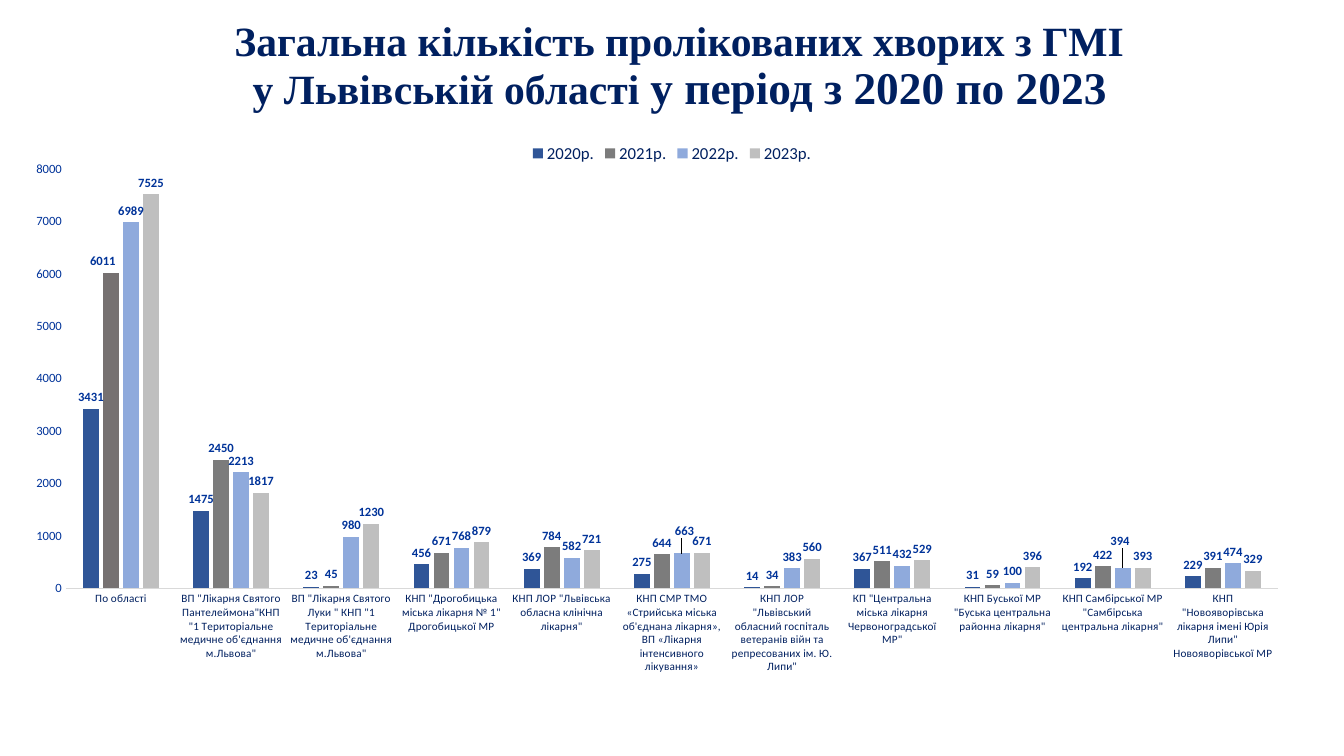
from dataclasses import dataclass

from lxml import etree
from pptx import Presentation
from pptx.chart.data import CategoryChartData
from pptx.dml.color import RGBColor as RGB
from pptx.enum.chart import XL_CHART_TYPE as CT
from pptx.enum.chart import XL_LABEL_POSITION as LabelPos
from pptx.enum.chart import XL_LEGEND_POSITION as LegendPos
from pptx.enum.chart import XL_TICK_MARK as Tick
from pptx.enum.text import MSO_ANCHOR, PP_ALIGN
from pptx.oxml.ns import qn
from pptx.util import Pt


@dataclass(frozen=True)
class Theme:
    title_font: str = "Times New Roman"
    chart_font: str = "Calibri"
    navy: str = "002060"
    blue: str = "003399"
    axis_line: str = "D9D9D9"
    accent_bar: str = "767171"
    bars: tuple = ("2F5597", "7C7C7C", "8FAADC", "BFBFBF")
    title_size: float = 29.7
    period_size: float = 32.4
    legend_size: float = 12
    label_size: float = 9
    category_size: float = 8


T = Theme()

HOSPITALS = (
    "По області",
    "ВП \"Лікарня Святого Пантелеймона\"КНП \"1 Територіальне медичне об'єднання м.Львова\"",
    "ВП \"Лікарня Святого Луки \" КНП \"1 Територіальне медичне об'єднання м.Львова\"",
    "КНП \"Дрогобицька міська лікарня № 1\" Дрогобицької МР",
    "КНП ЛОР \"Львівська обласна клінічна лікарня\"",
    "КНП СМР ТМО «Стрийська міська об'єднана лікарня», ВП «Лікарня інтенсивного лікування»",
    "КНП ЛОР \"Львівський обласний госпіталь ветеранів війн та репресованих ім. Ю. Липи\"",
    "КП \"Центральна міська лікарня Червоноградської МР\"",
    "КНП Буської МР \"Буська центральна районна лiкарня\"",
    "КНП Самбірської МР \"Самбірська центральна лікарня\"",
    "КНП \"Новояворівська лікарня імені Юрія Липи\" Новояворівської МР",
)
PATIENTS = {
    "2020р.": (3431, 1475, 23, 456, 369, 275, 14, 367, 31, 192, 229),
    "2021р.": (6011, 2450, 45, 671, 784, 644, 34, 511, 59, 422, 391),
    "2022р.": (6989, 2213, 980, 768, 582, 663, 383, 432, 100, 394, 474),
    "2023р.": (7525, 1817, 1230, 879, 721, 671, 560, 529, 396, 393, 329),
}
LABEL_SHIFTS = {
    "2021р.": {0: (-0.006, -0.002)},
    "2022р.": {5: (0.002, -0.018), 9: (-0.002, -0.025)},
}


def style_font(font, name, size, color, bold=False):
    font.name = name
    font.size = Pt(size)
    font.bold = bold
    font.color.rgb = RGB.from_string(color)


def manual_layout(**settings):
    layout = etree.Element(qn("c:layout"))
    manual = etree.SubElement(layout, qn("c:manualLayout"))
    for tag, val in settings.items():
        etree.SubElement(manual, qn(f"c:{tag}")).set("val", str(val))
    return layout


def add_title(s, left, top, width, height):
    tf = s.shapes.add_textbox(Pt(left), Pt(top), Pt(width), Pt(height)).text_frame
    tf.word_wrap = True
    tf.vertical_anchor = MSO_ANCHOR.TOP
    tf.margin_top = tf.margin_bottom = 0
    p = tf.paragraphs[0]
    p.text = "Загальна кількість пролікованих хворих з ГМІ\vу Львівській області "
    p.alignment = PP_ALIGN.CENTER
    p.line_spacing = 0.9
    for r in p.runs:
        style_font(r.font, T.title_font, T.title_size, T.navy, True)
    r = p.add_run()
    r.text = "у період з 2020 по 2023"
    style_font(r.font, T.title_font, T.period_size, T.navy, True)


def style_axes(chart):
    cat, val = chart.category_axis, chart.value_axis
    for axis in (cat, val):
        axis.has_major_gridlines = False
        axis.major_tick_mark = axis.minor_tick_mark = Tick.NONE
    style_font(cat.tick_labels.font, T.chart_font, T.category_size, T.navy)
    cat.format.line.color.rgb = RGB.from_string(T.axis_line)
    cat.format.line.width = Pt(0.75)
    style_font(val.tick_labels.font, T.chart_font, T.label_size, T.blue)
    val.format.line.fill.background()
    val.minimum_scale, val.maximum_scale, val.major_unit = 0, 8000, 1000


def style_labels(labels):
    style_font(labels.font, T.chart_font, T.label_size, T.blue, True)
    labels.position = LabelPos.OUTSIDE_END


def style_series(series, color):
    series.format.fill.solid()
    series.format.fill.fore_color.rgb = RGB.from_string(color)
    series.invert_if_negative = False
    labels = series.data_labels
    labels.show_value = True
    style_labels(labels)
    for i, (dx, dy) in LABEL_SHIFTS.get(series.name, {}).items():
        style_labels(series.points[i].data_label)
        idx = next(e for e in series._element.iter(qn("c:idx"))
                   if e.getparent().tag == qn("c:dLbl") and e.get("val") == str(i))
        idx.addnext(manual_layout(x=dx, y=dy))


def add_patients_chart(s, left, top, width, height):
    data = CategoryChartData(number_format="General")
    data.categories = HOSPITALS
    for year, values in PATIENTS.items():
        data.add_series(year, values)
    chart = s.shapes.add_chart(CT.COLUMN_CLUSTERED, Pt(left), Pt(top),
                               Pt(width), Pt(height), data).chart
    chart.has_title = False
    chart.font.name = T.chart_font
    chart.font.size = Pt(10)
    chart.has_legend = True
    chart.legend.position = LegendPos.TOP
    chart.legend.include_in_layout = False
    style_font(chart.legend.font, T.chart_font, T.legend_size, T.navy)
    style_axes(chart)

    plot = chart.plots[0]
    plot.vary_by_categories = False
    plot.gap_width, plot.overlap = 219, -27
    for series, color in zip(plot.series, T.bars):
        style_series(series, color)
    region_2021 = plot.series[1].points[0].format.fill
    region_2021.solid()
    region_2021.fore_color.rgb = RGB.from_string(T.accent_bar)

    area = chart._chartSpace.find(f".//{qn('c:plotArea')}")
    for old in area.findall(qn("c:layout")):
        area.remove(old)
    area.insert(0, manual_layout(layoutTarget="inner", xMode="edge", yMode="edge",
                                 x=0.049, y=0.061, w=0.902, h=0.686))


def main():
    prs = Presentation()
    prs.slide_width, prs.slide_height = Pt(960), Pt(540)
    s = prs.slides.add_slide(prs.slide_layouts[6])
    add_title(s, 20, 14.4, 931, 110)
    add_patients_chart(s, 0, 94.3, 960, 436.3)
    prs.save("out.pptx")


if __name__ == "__main__":
    main()
